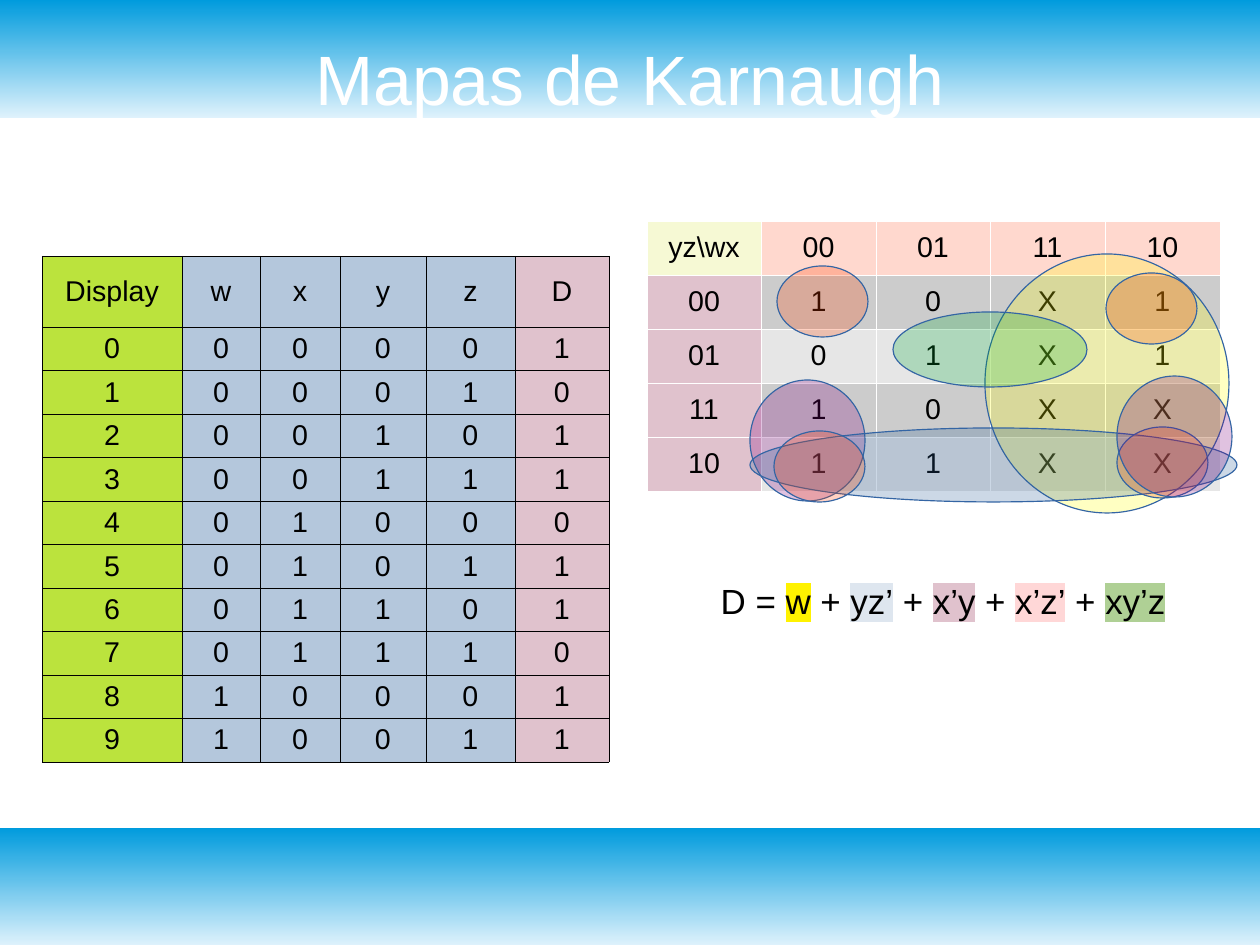
from lxml import etree
from pptx import Presentation
from pptx import util as u
from pptx.dml.color import RGBColor
from pptx.enum import shapes, text
from pptx.oxml import ns

PX = 8000  # EMU per px
COLORS = {
    "black": "000000", "white": "FFFFFF", "outline": "3465A4",
    "band_light": "DFF2FC", "band_blue": "009BDD",
    "lime": "BBE33D", "steel": "B4C7DC", "rose": "E0C2CD",
    "cream": "F6F9D4", "peach": "FFD8CE", "grey": "CCCCCC", "pale": "E6E6E6",
    "yellow": "FFFF00", "purple": "800080", "navy": "2A6099",
    "green": "00A933", "orange": "FF4000",
    "mark_w": "FFF200", "mark_yz": "DEE6EF", "mark_xz": "FFD7D7", "mark_xyz": "AFD095",
}
RGB = {name: RGBColor.from_string(value) for name, value in COLORS.items()}


def add_span(para, words, size, color="black"):
    span = para.add_run()
    span.text = words
    for name, value in {"size": u.Pt(size), "name": "Arial"}.items():
        setattr(span.font, name, value)
    span.font.color.rgb = RGB[color]
    return span


def add_grid(page, left, top, widths, heights, rows, fills, border):
    """Add a table of centred text with one fill name per cell and thin borders."""
    frame = page.shapes.add_table(len(rows), len(widths), left * PX, top * PX,
                                  sum(widths) * PX, sum(heights) * PX)
    table = frame.table
    table.first_row = table.horz_banding = False
    for column, width in zip(table.columns, widths):
        column.width = width * PX
    for row, height in zip(table.rows, heights):
        row.height = height * PX
    for r, row in enumerate(rows):
        for c, words in enumerate(row):
            cell = table.cell(r, c)
            cell.vertical_anchor = text.MSO_ANCHOR.MIDDLE
            cell.fill.solid()
            cell.fill.fore_color.rgb = RGB[fills[r][c]]
            para = cell.text_frame.paragraphs[0]
            para.alignment = text.PP_ALIGN.CENTER
            add_span(para, words, 18)
            properties = cell.fill._xPr
            for index, side in enumerate(("a:lnL", "a:lnR", "a:lnT", "a:lnB")):
                line = etree.Element(ns.qn(side), w="720")
                solid = etree.SubElement(line, ns.qn("a:solidFill"))
                etree.SubElement(solid, ns.qn("a:srgbClr"), val=COLORS[border])
                properties.insert(index, line)


deck = Presentation()
deck.slide_width, deck.slide_height = 1260 * PX, 945 * PX
page = deck.slides.add_slide(deck.slide_layouts[5])

# Bands behind everything
for top in (0, 828):
    band = page.shapes.add_shape(shapes.MSO_SHAPE.RECTANGLE, 0, top * PX, 1260 * PX, 118 * PX)
    band.shadow.inherit = False
    band.line.fill.background()
    band.fill.gradient()
    band.fill.gradient_angle = 90
    for stop, color in zip(band.fill.gradient_stops, ("band_light", "band_blue")):
        stop.color.rgb = RGB[color]
    page.shapes.element.insert(2, band.element)

title = page.shapes.title
title.left, title.top, title.width, title.height = (n * PX for n in (63, 38, 1134, 80))
title_format = {
    "margin_left": 0, "margin_right": 0, "margin_top": 0, "margin_bottom": 0,
    "vertical_anchor": text.MSO_ANCHOR.MIDDLE, "auto_size": text.MSO_AUTO_SIZE.NONE,
}
for name, value in title_format.items():
    setattr(title.text_frame, name, value)
para = title.text_frame.paragraphs[0]
para.alignment = text.PP_ALIGN.CENTER
add_span(para, "Mapas de Karnaugh", 44, "white")

# Karnaugh map
map_rows = [
    ["yz\\wx", "00", "01", "11", "10"],
    ["00", "1", "0", "X", "1"],
    ["01", "0", "1", "X", "1"],
    ["11", "1", "0", "X", "X"],
    ["10", "1", "1", "X", "X"],
]
map_fills = [["cream"] + ["peach"] * 4]
map_fills += [["rose"] + [shade] * 4 for shade in ("grey", "pale") * 2]
add_grid(page, 647, 221, [114, 115, 114, 115, 115], [54] * 5, map_rows, map_fills, "white")

# Truth table for segment D
segment_d = "1011011011"
truth_rows = [["Display", "w", "x", "y", "z", "D"]]
truth_rows += [[str(digit), *format(digit, "04b"), lit] for digit, lit in enumerate(segment_d)]
truth_fills = [["lime"] + ["steel"] * 4 + ["rose"]] * len(truth_rows)
add_grid(page, 42, 256, [140, 78, 80, 86, 89, 94], [71] + [43] * 10,
         truth_rows, truth_fills, "black")

# Groups of ones, back to front
groups = [
    ("yellow", 985, 254, 244, 259),
    ("purple", 750, 380, 115, 121),
    ("navy", 750, 428, 487, 74),
    ("green", 893, 312, 194, 75),
    ("orange", 777, 266, 91, 71),
    ("orange", 1117, 427, 91, 71),
    ("orange", 1106, 273, 91, 71),
    ("orange", 774, 431, 91, 71),
    ("purple", 1117, 376, 115, 121),
]
for color, *place in groups:
    group = page.shapes.add_shape(shapes.MSO_SHAPE.OVAL, *(n * PX for n in place))
    group.shadow.inherit = False
    group.fill.solid()
    group.fill.fore_color.rgb = RGB[color]
    fill_color = group.element.spPr.find(".//" + ns.qn("a:srgbClr"))
    etree.SubElement(fill_color, ns.qn("a:alpha"), val="24000")
    group.line.color.rgb = RGB["outline"]
    group.line.width = 0

# Simplified expression
formula = page.shapes.add_textbox(*(n * PX for n in (676, 533, 534, 135)))
formula.text_frame.word_wrap = True
formula.text_frame.vertical_anchor = text.MSO_ANCHOR.MIDDLE
para = formula.text_frame.paragraphs[0]
para.alignment = text.PP_ALIGN.CENTER
terms = [("w", "mark_w"), ("yz’", "mark_yz"), ("x’y", "rose"),
         ("x’z’", "mark_xz"), ("xy’z", "mark_xyz")]
for index, (term, mark) in enumerate(terms):
    add_span(para, " + " if index else "D = ", 22)
    span = add_span(para, term, 22)
    highlight = etree.Element(ns.qn("a:highlight"))
    etree.SubElement(highlight, ns.qn("a:srgbClr"), val=COLORS[mark])
    span.font._element.find(ns.qn("a:solidFill")).addnext(highlight)

deck.save("out.pptx")
